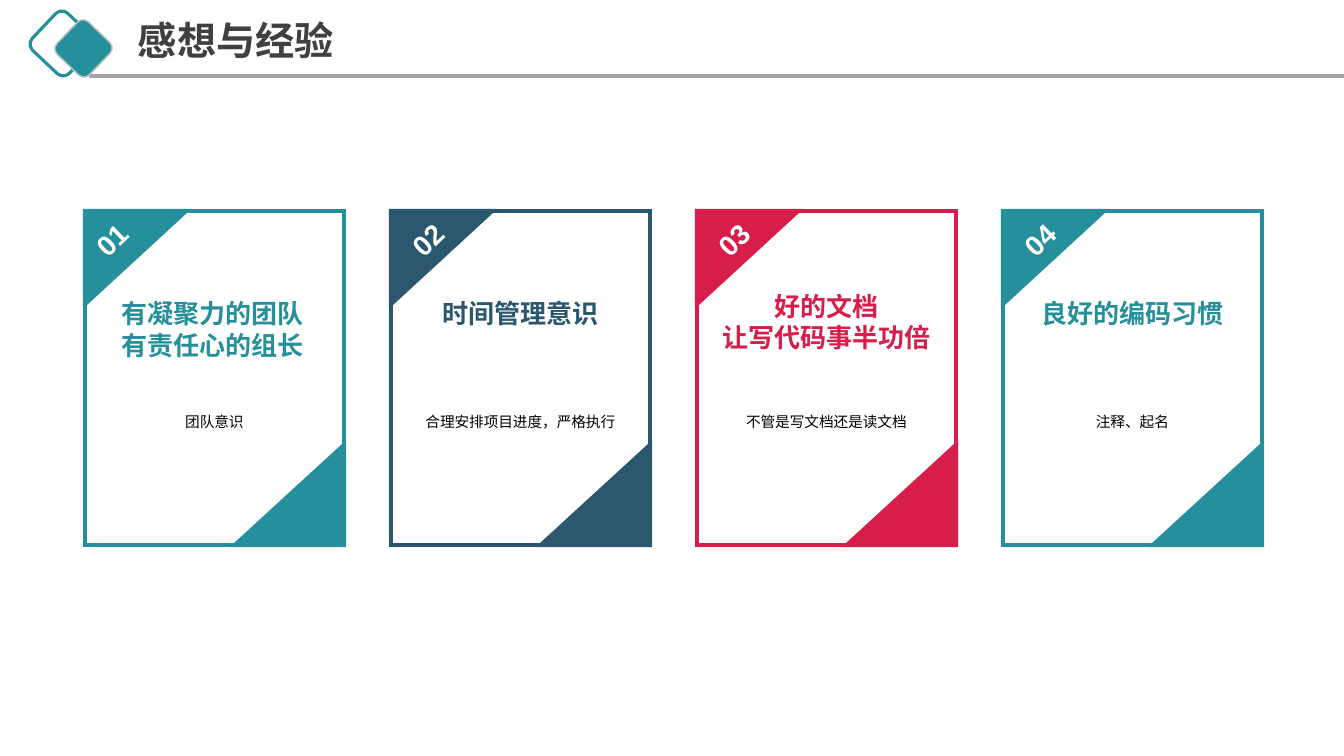
from dataclasses import dataclass

from lxml import etree
from pptx import Presentation
from pptx import util as u
from pptx.dml.color import RGBColor
from pptx.enum import shapes, text
from pptx.oxml.ns import qn

EMU_PER_PX = 12192000 / 1344
KIND = shapes.MSO_SHAPE


@dataclass(frozen=True)
class Theme:
    teal: str = "268F9C"
    navy: str = "2A566E"
    crimson: str = "D71D49"
    white: str = "FFFFFF"
    black: str = "000000"
    title_gray: str = "404040"
    rule_gray: str = "A6A6A6"
    edge_gray: str = "BFBFBF"
    font: str = "Arial"
    title_font: str = "Noto Sans CJK SC"
    title_size: float = 28
    number_size: float = 20
    heading_size: float = 18.6
    note_size: float = 10.5


THEME = Theme()

# heading lines, note, colour, heading left and top, number left
CARDS = [
    (["有凝聚力的团队", "有责任心的组长"], "团队意识", THEME.teal, (8, 82), 1),
    (["时间管理意识"], "合理安排项目进度，严格执行", THEME.navy, (10, 82), 11),
    (["好的文档", "让写代码事半功倍"], "不管是写文档还是读文档", THEME.crimson, (10, 74), 11),
    (["良好的编码习惯"], "注释、起名", THEME.teal, (10, 82), 11),
]


def px(length):
    return u.Emu(round(length * EMU_PER_PX))


def color(value):
    return RGBColor.from_string(value)


def add_shape(parent, kind, box, line, weight, fill=None, rotation=0):
    shape = parent.shapes.add_shape(kind, *map(px, box))
    shape.shadow.inherit = False
    shape.rotation = rotation
    shape.line.color.rgb = color(line)
    shape.line.width = u.Pt(weight)
    # Sharp outline corners
    etree.SubElement(shape.line._get_or_add_ln(), qn("a:miter"), lim="800000")
    if fill:
        shape.fill.solid()
        shape.fill.fore_color.rgb = color(fill)
    else:
        shape.fill.background()
    return shape


def write(shape, lines, size, ink, bold=False, font=THEME.font, spacing=None,
          align=text.PP_ALIGN.CENTER, insets=(10, 5, 10, 5)):
    frame = shape.text_frame
    frame.word_wrap = True
    frame.vertical_anchor = text.MSO_ANCHOR.TOP
    frame.margin_left, frame.margin_top, frame.margin_right, frame.margin_bottom = map(px, insets)
    frame.text = "\n".join(lines)
    for paragraph in frame.paragraphs:
        paragraph.alignment = align
        paragraph.line_spacing = spacing
        paragraph.font.name = font
        paragraph.font.size = u.Pt(size)
        paragraph.font.bold = bold
        paragraph.font.color.rgb = color(ink)


def add_header(slide, left, top, right):
    # Outlined diamond, rule and solid diamond
    add_shape(slide, KIND.ROUNDED_RECTANGLE, (left, top, 51, 51), THEME.teal, 2.25, rotation=43.4)
    rule = slide.shapes.add_connector(shapes.MSO_CONNECTOR.STRAIGHT,
                                      px(left + 52), px(top + 58), px(right), px(top + 58))
    rule.line.color.rgb = color(THEME.rule_gray)
    rule.line.width = u.Pt(2.25)
    etree.SubElement(rule._element.spPr, qn("a:effectLst"))
    add_shape(slide, KIND.ROUNDED_RECTANGLE, (left + 24, top + 8, 45, 45),
              THEME.edge_gray, 1, fill=THEME.teal, rotation=43.9)

    # Title
    title = slide.shapes.title
    title.left, title.top, title.width, title.height = map(px, (left + 91, top - 1, 576, 59))
    write(title, ["感想与经验"], THEME.title_size, THEME.title_gray, bold=True,
          font=THEME.title_font, spacing=0.9, align=text.PP_ALIGN.LEFT)


def add_corner(parent, left, top, width, height, fill, rotation):
    # A quarter turn swaps the sides, so the unturned box shares only its centre
    box = (left + (width - height) / 2, top + (height - width) / 2, height, width)
    add_shape(parent, KIND.RIGHT_TRIANGLE, box, fill, 3, fill, rotation)


def add_label(parent, box, lines, size, ink, rotation=0):
    label = parent.shapes.add_textbox(*map(px, box))
    label.rotation = rotation
    write(label, lines, size, ink, bold=True, insets=(0, 5, 0, 5))


def add_card(slide, left, top, width, height, number, card):
    heading, note, ink, (heading_left, heading_top), number_left = card
    group = slide.shapes.add_group_shape()

    # Frame with its note
    frame = add_shape(group, KIND.RECTANGLE, (left, top, width, height), ink, 3)
    write(frame, [note], THEME.note_size, THEME.black, spacing=1.2, insets=(10, 198, 10, 5))

    # Corners
    add_corner(group, left, top, 101, 93, ink, 90)
    add_corner(group, left + width - 109, top + height - 100, 109, 100, ink, 270)

    # Heading and number
    add_label(group, (left + heading_left, top + heading_top, width - 20, 72),
              heading, THEME.heading_size, ink)
    add_label(group, (left + number_left, top + 7, 51, 44),
              [f"{number:02}"], THEME.number_size, THEME.white, rotation=316.2)


def add_cards(slide, left, top, width, height, gap):
    for index, card in enumerate(CARDS):
        add_card(slide, left + index * (width + gap), top, width, height, index + 1, card)


def main():
    presentation = Presentation()
    presentation.slide_width, presentation.slide_height = px(1344), px(756)
    slide = presentation.slides.add_slide(presentation.slide_layouts[5])
    add_header(slide, 37, 18, 1344)
    add_cards(slide, 85, 211, 259, 334, 47)
    presentation.save("out.pptx")


if __name__ == "__main__":
    main()
